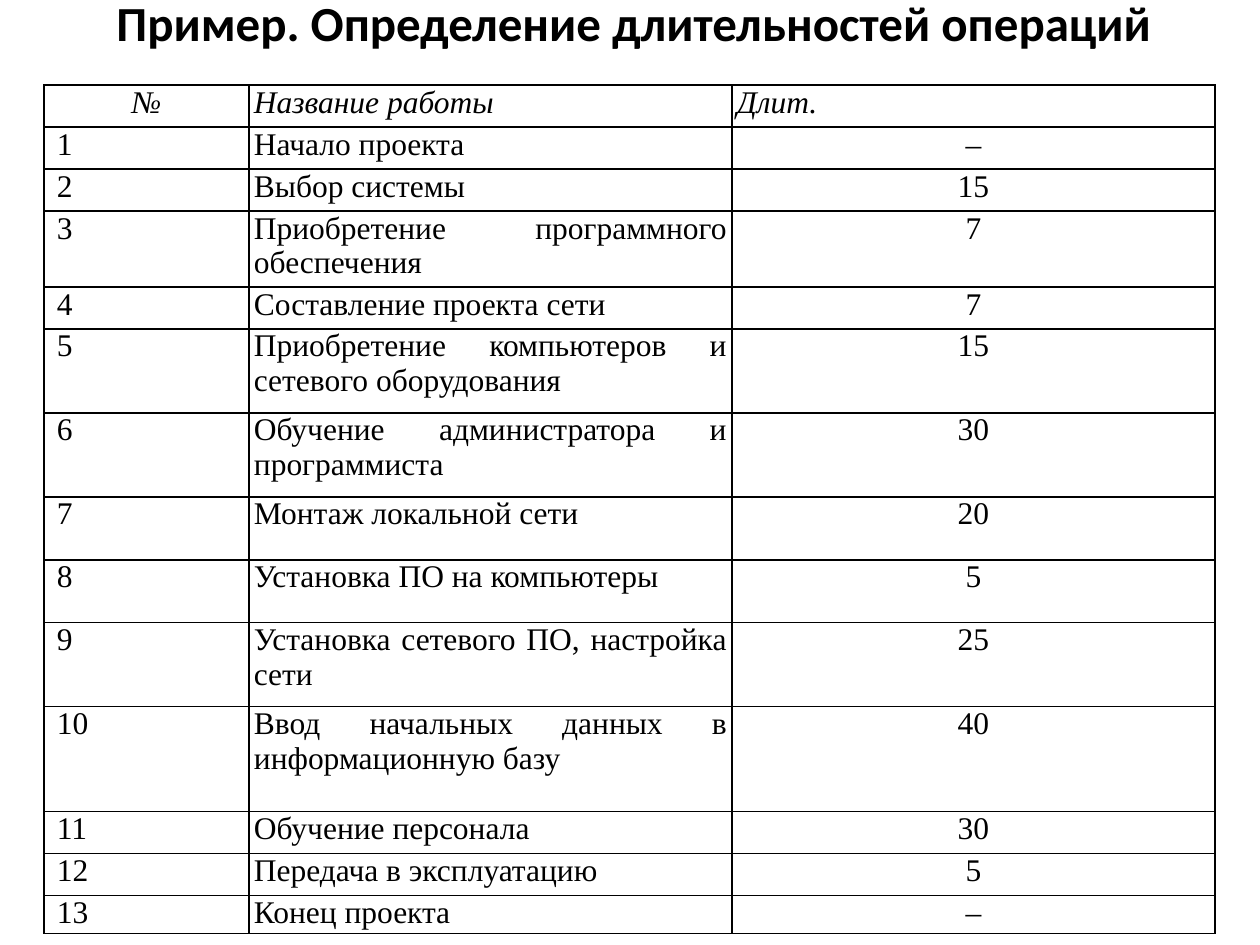
from dataclasses import dataclass

import pptx
import pptx.dml.color
import pptx.enum.text
import pptx.oxml.ns
import pptx.util
from lxml import etree

PX = 914400 // 126
COLORS = {"text": "000000", "border": "000000"}
ALIGN = pptx.enum.text.PP_ALIGN
COLUMNS = [205, 483, 483]


@dataclass
class Work:
    number: str
    name: str
    duration: str
    height: int = 42


WORKS = [
    Work("1", "Начало проекта", "–"),
    Work("2", "Выбор системы", "15"),
    Work("3", "Приобретение программного обеспечения", "7", 76),
    Work("4", "Составление проекта сети", "7"),
    Work("5", "Приобретение компьютеров и сетевого оборудования", "15", 84),
    Work("6", "Обучение администратора и программиста", "30", 84),
    Work("7", "Монтаж локальной сети", "20", 63),
    Work("8", "Установка ПО на компьютеры", "5", 63),
    Work("9", "Установка сетевого ПО, настройка сети", "25", 84),
    Work("10", "Ввод начальных данных в информационную базу", "40", 105),
    Work("11", "Обучение персонала", "30"),
    Work("12", "Передача в эксплуатацию", "5"),
    Work("13", "Конец проекта", "–", 38),
]


def px(n: int) -> int:
    return pptx.util.Emu(n * PX)


def set_text(tf, text: str, font: str, size: int, align, bold=False, italic=False) -> None:
    tf.text = text
    p = tf.paragraphs[0]
    p.alignment = align
    r = p.runs[0]
    r.font.name = font
    r.font.size = pptx.util.Pt(size)
    r.font.bold = bold
    r.font.italic = italic
    r.font.color.rgb = pptx.dml.color.RGBColor.from_string(COLORS["text"])


def add_borders(cell) -> None:
    qn = pptx.oxml.ns.qn
    tc_pr = cell._tc.get_or_add_tcPr()
    for i, side in enumerate(("a:lnL", "a:lnR", "a:lnT", "a:lnB")):
        ln = etree.Element(qn(side), w=str(pptx.util.Pt(1)))
        fill = etree.SubElement(ln, qn("a:solidFill"))
        etree.SubElement(fill, qn("a:srgbClr"), val=COLORS["border"])
        tc_pr.insert(i, ln)


def fill_cell(cell, text: str, align, italic: bool = False) -> None:
    cell.margin_left = cell.margin_right = px(5)
    cell.margin_top = cell.margin_bottom = 0
    set_text(cell.text_frame, text, "Times New Roman", 18, align, italic=italic)
    cell.fill.background()
    add_borders(cell)


def indent_number(cell) -> None:
    p_pr = cell.text_frame.paragraphs[0]._p.get_or_add_pPr()
    p_pr.set("marL", str(px(48)))
    p_pr.set("indent", str(px(-48)))


def add_title(s) -> None:
    sp = s.shapes.add_textbox(px(74), px(-14), px(1119), px(72))
    tf = sp.text_frame
    tf.word_wrap = True
    tf.auto_size = pptx.enum.text.MSO_AUTO_SIZE.SHAPE_TO_FIT_TEXT
    set_text(tf, "Пример. Определение длительностей операций", "Calibri", 28,
             ALIGN.CENTER, bold=True)


def add_works(s) -> None:
    rows = [Work("№", "Название работы", "Длит.")] + WORKS
    height = sum(w.height for w in rows)
    table = s.shapes.add_table(len(rows), len(COLUMNS), px(44), px(85),
                               px(sum(COLUMNS)), px(height)).table
    table.first_row = False
    table.horz_banding = False
    for column, width in zip(table.columns, COLUMNS):
        column.width = px(width)
    for i, w in enumerate(rows):
        table.rows[i].height = px(w.height)
        header = i == 0
        number, name, duration = table.rows[i].cells
        fill_cell(number, w.number if header else "\u00a0" + w.number,
                  ALIGN.CENTER if header else ALIGN.JUSTIFY, header)
        fill_cell(name, w.name, ALIGN.JUSTIFY, header)
        fill_cell(duration, w.duration, ALIGN.JUSTIFY if header else ALIGN.CENTER, header)
        if not header:
            indent_number(number)


prs = pptx.Presentation()
prs.slide_width = px(1260)
prs.slide_height = px(945)
s = prs.slides.add_slide(prs.slide_layouts[6])
add_title(s)
add_works(s)
prs.save("out.pptx")
